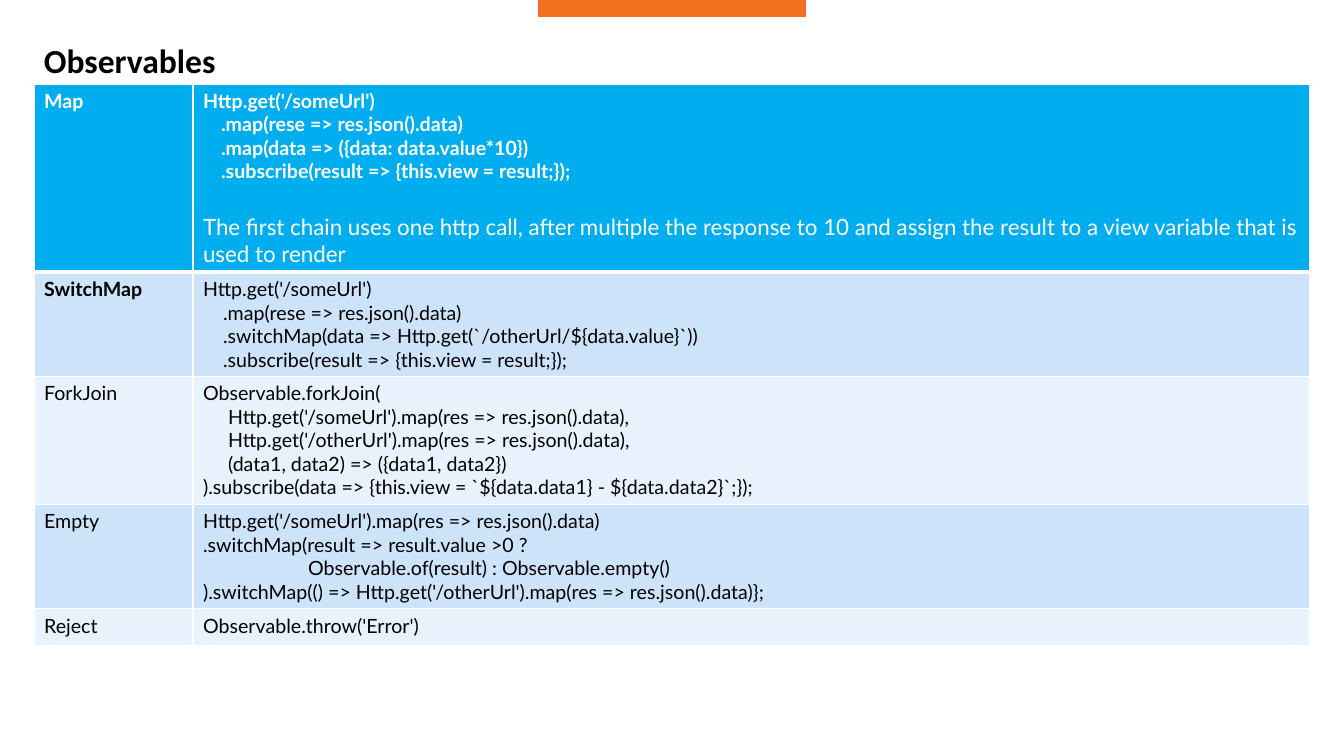
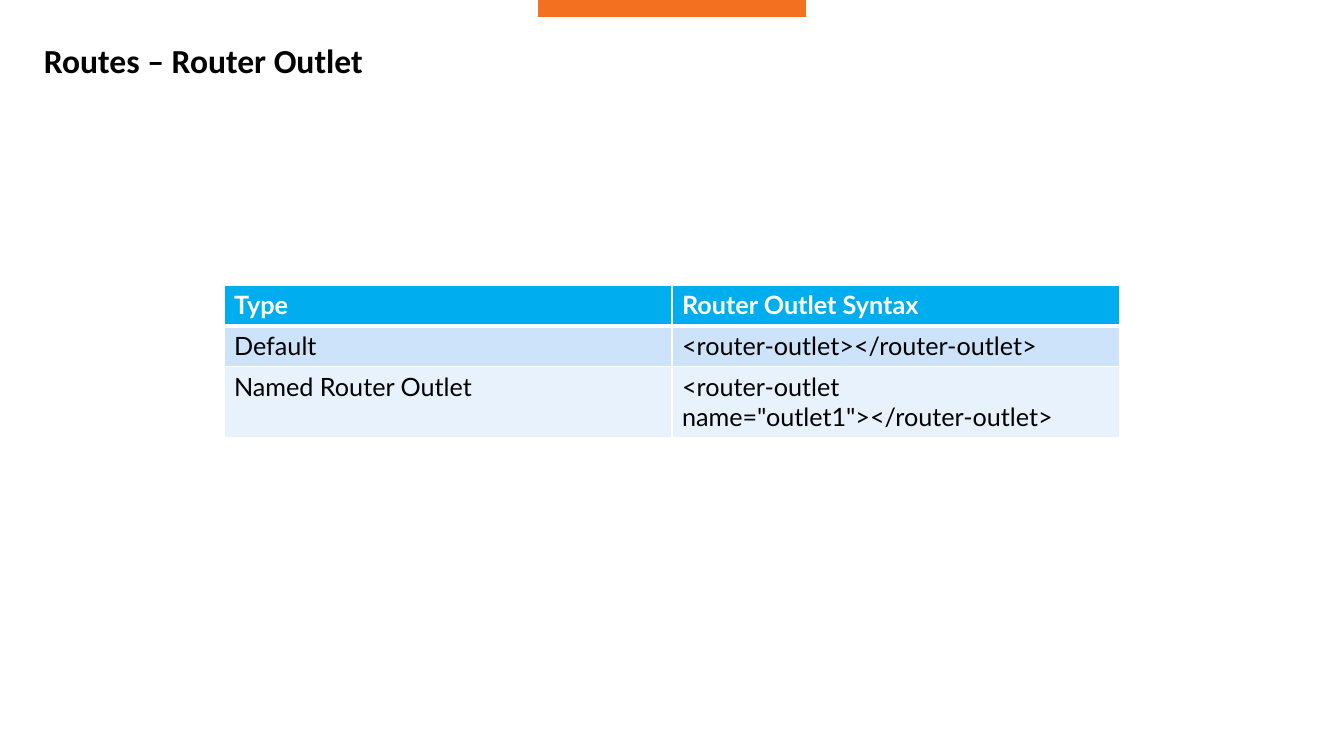
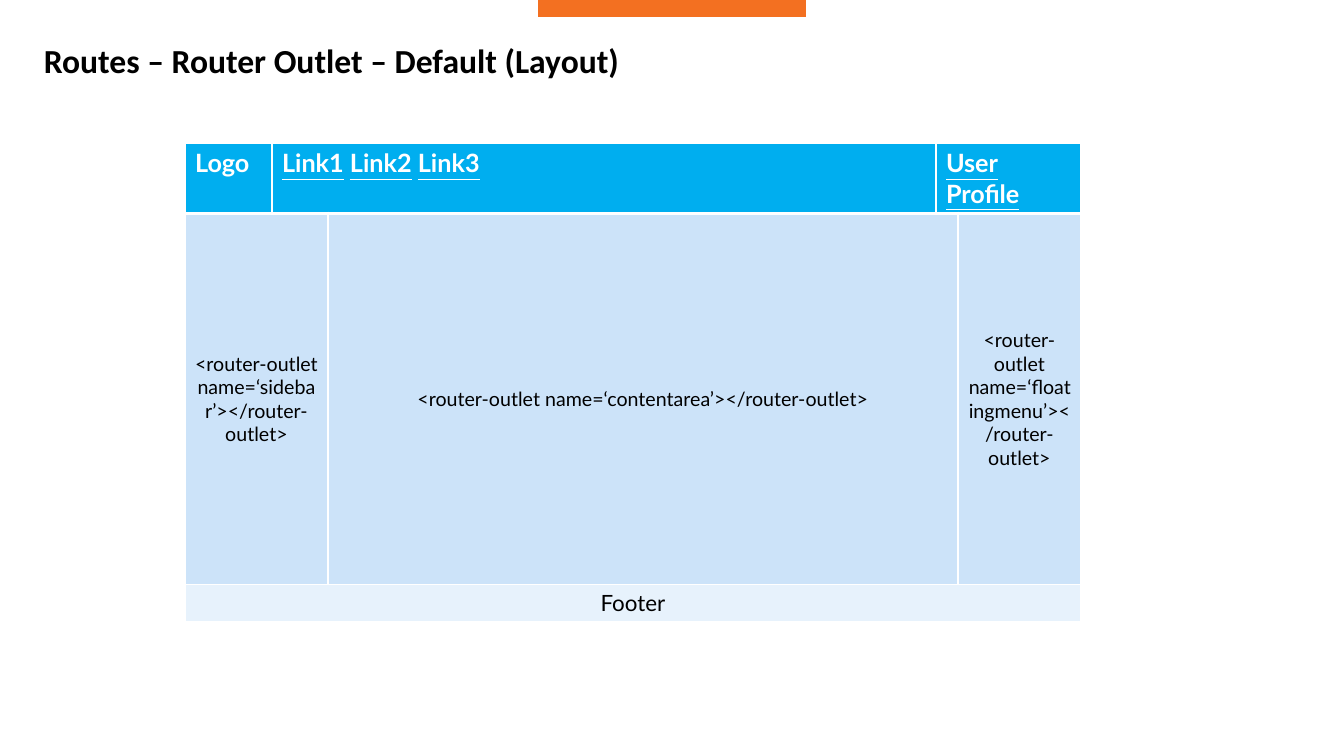
"""Builds three slides on observables and router outlets, each a titled table."""
from lxml.etree import SubElement
from pptx import Presentation
from pptx.dml.color import RGBColor
from pptx.enum.shapes import MSO_SHAPE
from pptx.enum.text import MSO_ANCHOR, PP_ALIGN
from pptx.oxml.ns import qn
from pptx.util import Emu, Pt

PX = 914400 / 100.8
COLORS = {
    "accent": "F37021",
    "header": "00AEEF",
    "band": "CCE3F9",
    "light": "E7F2FC",
    "white": "FFFFFF",
    "black": "000000",
}

deck = Presentation()
deck.slide_width = Emu(round(1344 * PX))
deck.slide_height = Emu(round(756 * PX))


def write(paragraph, text, size, color="black", bold=False, underline=False, face="Lato"):
    run = paragraph.add_run()
    run.text = text
    run.font.name = face
    run.font.size = Pt(size)
    run.font.bold = bold
    run.font.underline = underline
    run.font.color.rgb = RGBColor.from_string(COLORS[color])


def add_page(heading, left, top, widths, heights):
    slide = deck.slides.add_slide(deck.slide_layouts[6])
    tab = slide.shapes.add_shape(
        MSO_SHAPE.RECTANGLE, *[Emu(round(v * PX)) for v in (538, 0, 268, 17)])
    tab.shadow.inherit = False
    tab.fill.solid()
    tab.fill.fore_color.rgb = RGBColor.from_string(COLORS["accent"])
    tab.line.fill.background()

    title = slide.shapes.add_textbox(*[Emu(round(v * PX)) for v in (34, 43, 1277, 57)])
    title.text_frame.word_wrap = True
    title.text_frame.paragraphs[0].line_spacing = 0.8
    write(title.text_frame.paragraphs[0], heading, 24, bold=True, face="Calibri")

    box = [Emu(round(v * PX)) for v in (left, top, sum(widths), sum(heights))]
    table = slide.shapes.add_table(len(heights), len(widths), *box).table
    for column, width in zip(table.columns, widths):
        column.width = Emu(round(width * PX))
    for number, (row, height) in enumerate(zip(table.rows, heights)):
        row.height = Emu(round(height * PX))
        fill = "header" if number == 0 else ("light", "band")[number % 2]
        edges = {"lnL": 1, "lnR": 1, "lnT": 3 if number == 1 else 1, "lnB": 1 if number else 3}
        for cell in row.cells:
            properties = cell._tc.get_or_add_tcPr()
            for edge, weight in edges.items():
                border = SubElement(properties, qn(f"a:{edge}"), w=str(Pt(weight)))
                paint = SubElement(border, qn("a:solidFill"))
                SubElement(paint, qn("a:srgbClr"), val=COLORS["white"])
            cell.fill.solid()
            cell.fill.fore_color.rgb = RGBColor.from_string(COLORS[fill])
    return table


operators = [
    ("Map", [
        (0, "Http.get('/someUrl')"),
        (18, ".map(rese => res.json().data)"),
        (18, ".map(data => ({data: data.value*10})"),
        (18, ".subscribe(result => {this.view = result;});"),
    ]),
    ("SwitchMap", [
        (0, "Http.get('/someUrl')"),
        (20, ".map(rese => res.json().data)"),
        (20, ".switchMap(data => Http.get(`/otherUrl/${data.value}`))"),
        (20, ".subscribe(result => {this.view = result;});"),
    ]),
    ("ForkJoin", [
        (0, "Observable.forkJoin("),
        (25, "Http.get('/someUrl').map(res => res.json().data),"),
        (25, "Http.get('/otherUrl').map(res => res.json().data),"),
        (25, "(data1, data2) => ({data1, data2})"),
        (0, ").subscribe(data => {this.view = `${data.data1} - ${data.data2}`;});"),
    ]),
    ("Empty", [
        (0, "Http.get('/someUrl').map(res => res.json().data)"),
        (0, ".switchMap(result => result.value >0 ?"),
        (105, "Observable.of(result) : Observable.empty()"),
        (0, ").switchMap(() => Http.get('/otherUrl').map(res => res.json().data)};"),
    ]),
    ("Reject", [(0, "Observable.throw('Error')")]),
]
observables = add_page("Observables", 34, 84, [159, 1117], [188, 104, 128, 104, 37])
for number, (operator, code) in enumerate(operators):
    color = "black" if number else "white"
    name_cell, code_cell = observables.rows[number].cells
    write(name_cell.text_frame.paragraphs[0], operator, 14, color, bold=number < 2)
    for position, (indent, statement) in enumerate(code):
        frame = code_cell.text_frame
        line = frame.add_paragraph() if position else frame.paragraphs[0]
        line._p.get_or_add_pPr().set("marL", str(round(indent * PX)))
        write(line, statement, 14, color, bold=number == 0)

explanation = observables.cell(0, 1).text_frame.add_paragraph()
explanation.space_before = Pt(21.6)
write(explanation, "The first chain uses one http call, after multiple the response to 10 "
      "and assign the result to a view variable that is used to render", 16, "white")

outlets = [
    ("Type", "Router Outlet Syntax"),
    ("Default", "<router-outlet></router-outlet>"),
    ("Named Router Outlet", '<router-outlet name="outlet1"></router-outlet>'),
]
syntax = add_page("Routes – Router Outlet", 224, 285, [448, 448], [41, 40, 71])
for number, texts in enumerate(outlets):
    for cell, text in zip(syntax.rows[number].cells, texts):
        write(cell.text_frame.paragraphs[0], text, 18,
              "black" if number else "white", bold=number == 0)

layout = add_page("Routes – Router Outlet – Default (Layout)", 185, 143,
                  [87, 56, 608, 22, 123], [70, 371, 37])
for row, first, last in [(0, 1, 2), (0, 3, 4), (1, 0, 1), (1, 2, 3), (2, 0, 4)]:
    layout.cell(row, first).merge(layout.cell(row, last))

navigation = [
    (0, ["Logo"]),
    (1, ["Link1", " ", "Link2", " ", "Link3"]),
    (3, ["User Profile"]),
]
for column, labels in navigation:
    for label in labels:
        write(layout.cell(0, column).text_frame.paragraphs[0], label, 18, "white",
              bold=True, underline=label not in ("Logo", " "))

regions = [
    (1, 0, "<router-outlet name=‘sidebar’></router-outlet>", 14),
    (1, 2, "<router-outlet name=‘contentarea’></router-outlet>", 14),
    (1, 4, "<router-outlet name=‘floatingmenu’></router-outlet>", 14),
    (2, 0, "Footer", 16),
]
for row, column, text, size in regions:
    region = layout.cell(row, column)
    region.vertical_anchor = MSO_ANCHOR.MIDDLE
    region.text_frame.paragraphs[0].alignment = PP_ALIGN.CENTER
    write(region.text_frame.paragraphs[0], text, size)

deck.save("out.pptx")
